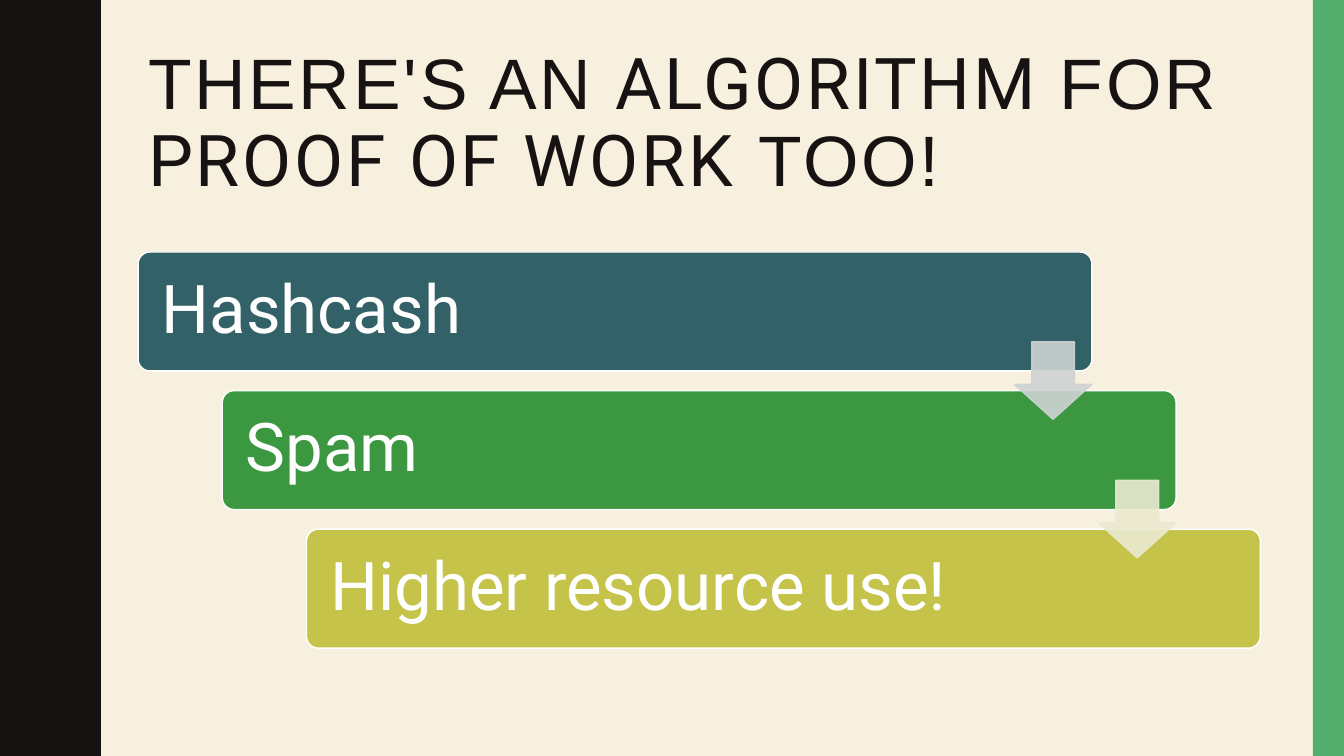
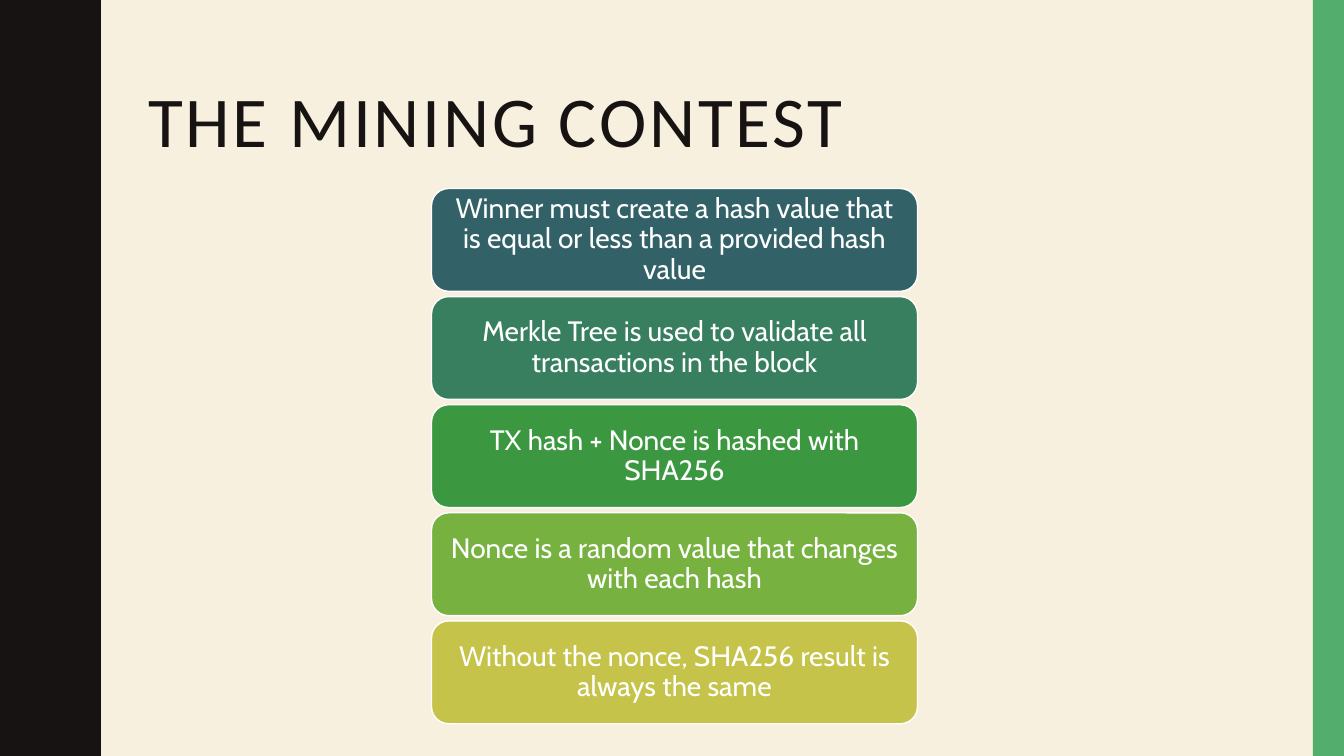
import pptx
import pptx.util
import pptx.dml.color
import pptx.enum.shapes
import pptx.enum.text
import pptx.oxml.ns
import lxml.etree

Inches = pptx.util.Inches
Pt = pptx.util.Pt
RGBColor = pptx.dml.color.RGBColor
SHAPE = pptx.enum.shapes.MSO_SHAPE
ALIGN = pptx.enum.text.PP_ALIGN
MIDDLE = pptx.enum.text.MSO_ANCHOR.MIDDLE

CREAM = RGBColor(0xF7, 0xF0, 0xDF)
INK = RGBColor(0x17, 0x13, 0x12)
EDGE_GREEN = RGBColor(0x53, 0xAE, 0x6E)
WHITE = RGBColor(0xFF, 0xFF, 0xFF)
TEAL = RGBColor(0x32, 0x62, 0x67)
SEA_GREEN = RGBColor(0x38, 0x7F, 0x60)
GREEN = RGBColor(0x3C, 0x98, 0x40)
LIME = RGBColor(0x77, 0xB2, 0x40)
OLIVE = RGBColor(0xC5, 0xC3, 0x4A)
PALE_TEAL = RGBColor(0xCE, 0xD3, 0xD3)
PALE_OLIVE = RGBColor(0xEA, 0xEA, 0xD0)

WAVE_PERIOD = 1.5
WAVE_COUNT = 5
# One swing of the wavy edge from its trough to its crest, as (x, y)
HALF_WAVE = [
    (0.78, 0), (0.78, 0.07), (0.79, 0.14), (0.8, 0.2), (0.81, 0.25),
    (0.83, 0.29), (0.85, 0.33), (0.87, 0.38), (0.89, 0.42), (0.91, 0.46),
    (0.93, 0.5), (0.95, 0.55), (0.96, 0.61), (0.97, 0.68), (0.97, 0.75),
]
FULL_WAVE = HALF_WAVE + [(x, WAVE_PERIOD - y) for x, y in HALF_WAVE[-2::-1]]


def add_block(page, kind, left, top, width, height, fill, line=None, adjustments=()):
    shape = page.shapes.add_shape(kind, Inches(left), Inches(top), Inches(width), Inches(height))
    shape.shadow.inherit = False
    for index, value in enumerate(adjustments):
        shape.adjustments[index] = value
    shape.fill.solid()
    shape.fill.fore_color.rgb = fill
    if line is None:
        shape.line.fill.background()
    else:
        shape.line.color.rgb = line
        shape.line.width = Pt(1)
    return shape


def write_text(shape, runs, size, color, align, margins):
    """Fill a shape with one paragraph of (text, font name) runs."""
    frame = shape.text_frame
    frame.word_wrap = True
    frame.vertical_anchor = MIDDLE
    frame.margin_left = frame.margin_right = Inches(margins[0])
    frame.margin_top = frame.margin_bottom = Inches(margins[1])
    para = frame.paragraphs[0]
    para.alignment = align
    para.line_spacing = 0.9
    para.font.size = Pt(size)
    para.font.color.rgb = color
    if len(runs) == 1:
        para.font.name = runs[0][1]
    for text, font_name in runs:
        span = para.add_run()
        span.text = text
        if len(runs) > 1:
            span.font.name = font_name
    return para


deck = pptx.Presentation()
deck.slide_width = Inches(13.33)
deck.slide_height = Inches(7.5)
backdrop = deck.slide_master.background.fill
backdrop.solid()
backdrop.fore_color.rgb = CREAM

# Pages with the wavy band, the edge bar and the title
titles = [
    [("THERE'S AN", "Arial"), (" ALGORITHM ", "Roboto"), ("FOR ", "Arial"),
     ("PROOF OF WORK", "Roboto"), (" TOO!", "Arial")],
    [("THE MINING CONTEST", "Calibri")],
]
pages = []
for title_runs in titles:
    page = deck.slides.add_slide(deck.slide_layouts[6])
    pages.append(page)

    outline = page.shapes.build_freeform(0, 0, scale=Inches(1))
    outline.add_line_segments(
        [(x, y + wave * WAVE_PERIOD) for wave in range(WAVE_COUNT) for x, y in FULL_WAVE]
        + [(0, WAVE_COUNT * WAVE_PERIOD)], close=True)
    band = outline.convert_to_shape()
    band.shadow.inherit = False
    band.fill.solid()
    band.fill.fore_color.rgb = INK
    band.line.fill.background()

    add_block(page, SHAPE.RECTANGLE, 13.02, 0, 0.31, 7.5, EDGE_GREEN)

    title_box = page.shapes.add_textbox(Inches(1.37), Inches(0.42), Inches(11.13), Inches(1.63))
    para = write_text(title_box, title_runs, 51, INK, ALIGN.LEFT, (0.1, 0.05))
    for span in para.runs:
        span.font.size = Pt(51)
        span.font.color.rgb = INK
        span.font._element.set("spc", "200")

# Descending steps joined by arrows
steps = [("Hashcash", TEAL), ("Spam", GREEN), ("Higher resource use!", OLIVE)]
step_lefts = [1.37 + 1.67 * index / 2 for index in range(3)]
step_tops = [2.5 + 2.75 * index / 2 for index in range(3)]
for (text, fill), left, top in zip(steps, step_lefts, step_tops):
    step = add_block(pages[0], SHAPE.ROUNDED_RECTANGLE, left, top, 9.46, 1.18, fill, WHITE, [0.1])
    write_text(step, [(text, "Roboto")], 48, WHITE, ALIGN.LEFT, (0.2, 0.2))

for color, left, top in zip([PALE_TEAL, PALE_OLIVE], step_lefts, step_tops):
    arrow = add_block(pages[0], SHAPE.DOWN_ARROW, left + 8.69, top + 0.89, 0.77, 0.77,
                      color, color, [0.55, 0.45])
    for paint in arrow.element.spPr.iter(pptx.oxml.ns.qn("a:srgbClr")):
        lxml.etree.SubElement(paint, pptx.oxml.ns.qn("a:alpha"), val="90000")

# Stacked rules of the contest
rules = [
    ("Winner must create a hash value that is equal or less than a provided hash value", TEAL),
    ("Merkle Tree is used to validate all transactions in the block", SEA_GREEN),
    ("TX hash + Nonce is hashed with SHA256", GREEN),
    ("Nonce is a random value that changes with each hash", LIME),
    ("Without the nonce, SHA256 result is always the same", OLIVE),
]
for index, (text, fill) in enumerate(rules):
    rule = add_block(pages[1], SHAPE.ROUNDED_RECTANGLE, 4.28, 1.87 + 4.29 * index / 4,
                     4.82, 1.02, fill, WHITE)
    write_text(rule, [(text, "Cabin")], 20, WHITE, ALIGN.CENTER, (0.08, 0.04))

deck.save("out.pptx")
